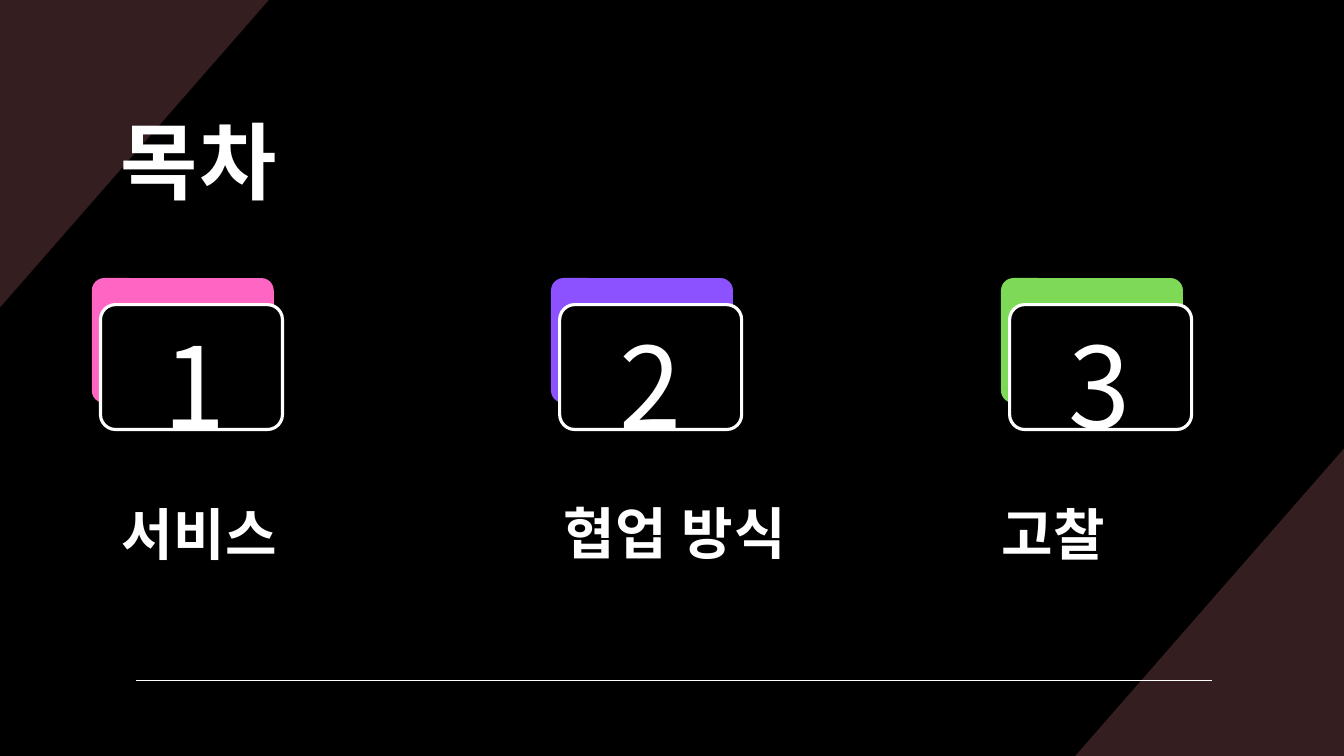
from lxml.etree import SubElement
from pptx import Presentation
from pptx.dml.color import RGBColor
from pptx.enum.shapes import MSO_CONNECTOR as CONN, MSO_SHAPE as SHAPE
from pptx.enum.text import MSO_ANCHOR as ANCHOR
from pptx.oxml.ns import qn
from pptx.util import Pt

FONT = "Noto Sans CJK KR"
BLACK = RGBColor(0x00, 0x00, 0x00)
WHITE = RGBColor(0xFF, 0xFF, 0xFF)
MAROON = RGBColor(0x35, 0x1E, 0x1F)
PINK = RGBColor(0xFF, 0x66, 0xC4)
PURPLE = RGBColor(0x8C, 0x52, 0xFF)
GREEN = RGBColor(0x7E, 0xD9, 0x57)

WIDTH, HEIGHT = 960, 540
CORNER_W, CORNER_H = 192, 219.6
CARD_W, CARD_H = 130, 89.2
CARD_TOP = 198.6
FRONT_DX, FRONT_DY = 6.2, 19

ITEMS = [
    ("1", "서비스", PINK, 65.6, 116.5, 77.8, 324),
    ("2", "협업 방식", PURPLE, 393.6, 442.8, 393.8, 323.3),
    ("3", "고찰", GREEN, 715, 763.2, 706.4, 324),
]


def paint(s, fill, line=None):
    """Give a shape a flat fill and an optional outline."""
    s.shadow.inherit = False
    s.fill.solid()
    s.fill.fore_color.rgb = fill
    if line is None:
        s.line.fill.background()
    else:
        s.line.color.rgb = line
        s.line.width = Pt(2.25)


def add_corner(slide, x, y, dx, dy):
    """Draw a right triangle reaching dx and dy from a slide corner."""
    builder = slide.shapes.build_freeform(Pt(x), Pt(y))
    builder.add_line_segments([(Pt(x + dx), Pt(y)), (Pt(x), Pt(y + dy))], close=True)
    paint(builder.convert_to_shape(), MAROON)


def add_rule(slide, x1, x2, y):
    """Draw the thin horizontal line at the foot of the slide."""
    s = slide.shapes.add_connector(CONN.STRAIGHT, Pt(x1), Pt(y), Pt(x2), Pt(y))
    s.line.color.rgb = WHITE
    s.line.width = Pt(1)
    SubElement(s._element.spPr, qn("a:effectLst"))


def add_card(slide, x, y, radius, fill, line=None):
    """Draw one rounded card."""
    s = slide.shapes.add_shape(SHAPE.ROUNDED_RECTANGLE, Pt(x), Pt(y), Pt(CARD_W), Pt(CARD_H))
    s.adjustments[0] = radius
    paint(s, fill, line)


def add_text(slide, text, x, y, w, h, size, spacing):
    """Add a white text box with no margins and return it."""
    s = slide.shapes.add_textbox(Pt(x), Pt(y), Pt(w), Pt(h))
    tf = s.text_frame
    tf.text = text
    tf.word_wrap = True
    tf.margin_left = tf.margin_top = tf.margin_right = tf.margin_bottom = 0
    p = tf.paragraphs[0]
    p.line_spacing = spacing
    r = p.runs[0]
    r.font.size = Pt(size)
    r.font.name = FONT
    r.font.color.rgb = WHITE
    SubElement(r.font._element, qn("a:ea")).set("typeface", FONT)
    return s


def add_heading(slide, text, x, y, w, size):
    """Add a bold, vertically centred heading."""
    tf = add_text(slide, text, x, y, w, 107.3, size, 1.1).text_frame
    tf.vertical_anchor = ANCHOR.MIDDLE
    tf.margin_left = tf.margin_top = tf.margin_right = Pt(8.64)
    tf.margin_bottom = Pt(7.2)
    font = tf.paragraphs[0].runs[0].font
    font.bold = True
    font._element.set("spc", "70")


def add_item(slide, number, label, color, card_x, number_x, label_x, label_y):
    """Add a numbered pair of cards with its label."""
    add_card(slide, card_x, CARD_TOP, 0.1, color)
    add_card(slide, card_x + FRONT_DX, CARD_TOP + FRONT_DY, 0.12, BLACK, WHITE)
    add_text(slide, number, number_x, 206.6, 90, 116.6, 80, 1.2)
    add_heading(slide, label, label_x, label_y, 206, 40)


def main():
    """Build the contents slide."""
    prs = Presentation()
    prs.slide_width, prs.slide_height = Pt(WIDTH), Pt(HEIGHT)
    slide = prs.slides.add_slide(prs.slide_layouts[6])
    slide.background.fill.solid()
    slide.background.fill.fore_color.rgb = BLACK
    add_corner(slide, WIDTH, HEIGHT, -CORNER_W, -CORNER_H)
    add_corner(slide, 0, 0, CORNER_W, CORNER_H)
    add_rule(slide, 97.2, 865.6, 486)
    add_heading(slide, "목차", 77.8, 56.2, 779.8, 60)
    for item in ITEMS:
        add_item(slide, *item)
    prs.save("out.pptx")


if __name__ == "__main__":
    main()
